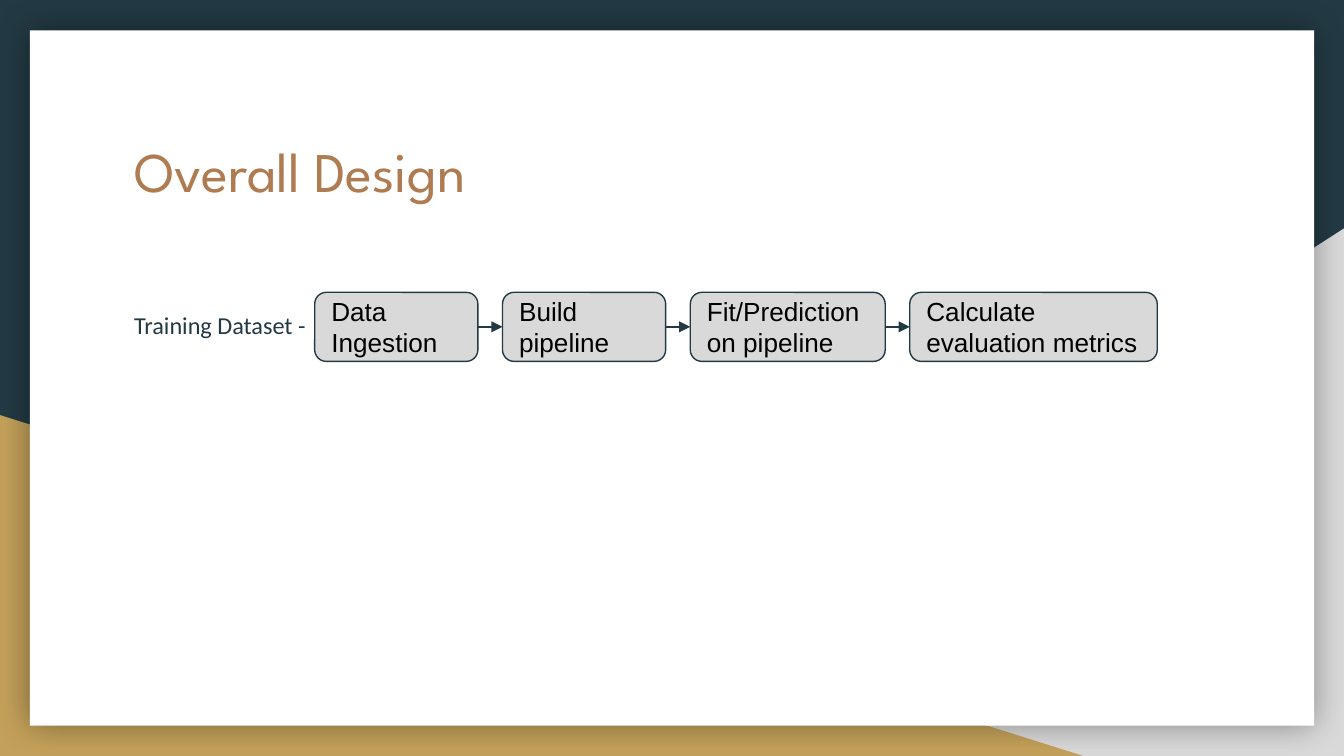
from lxml.etree import SubElement
from pptx import Presentation
from pptx.dml.color import RGBColor
from pptx.enum.shapes import MSO_CONNECTOR, MSO_SHAPE
from pptx.enum.text import MSO_ANCHOR, PP_ALIGN
from pptx.oxml.ns import qn
from pptx.util import Pt

COLORS = {
    "navy": "233A44",
    "gray": "D9D9D9",
    "gold": "C4A15A",
    "white": "FFFFFF",
    "copper": "AF7B51",
    "black": "000000",
}
SLIDE_WIDTH, SLIDE_HEIGHT = 720, 405
MARGIN = 64.8
FLOW_LEFT, FLOW_TOP = 168.6, 156.6
STEP_HEIGHT, STEP_GAP = 37, 13.2
STEPS = [
    ("Data Ingestion", 87.4),
    ("Build pipeline", 87.4),
    ("Fit/Prediction on pipeline", 104.4),
    ("Calculate evaluation metrics", 132.6),
]


def color(name):
    return RGBColor.from_string(COLORS[name])


def write_text(shape, text, *, font, size, fill, anchor=MSO_ANCHOR.TOP,
               line_spacing=None, space_after=None):
    frame = shape.text_frame
    frame.word_wrap = True
    frame.vertical_anchor = anchor
    frame.margin_left = frame.margin_right = Pt(7.2)
    frame.margin_top = frame.margin_bottom = Pt(7.2)
    para = frame.paragraphs[0]
    para.alignment = PP_ALIGN.LEFT
    if line_spacing is not None:
        para.line_spacing = line_spacing
    if space_after is not None:
        para.space_after = Pt(space_after)
    span = para.add_run()
    span.text = text
    span.font.name = font
    span.font.size = Pt(size)
    span.font.color.rgb = color(fill)


def add_box(page, kind, left, top, width, height, fill, line=None):
    box = page.shapes.add_shape(kind, Pt(left), Pt(top), Pt(width), Pt(height))
    box.shadow.inherit = False
    box.fill.solid()
    box.fill.fore_color.rgb = color(fill)
    if line:
        box.line.color.rgb = color(line)
        box.line.width = Pt(0.75)
    else:
        box.line.fill.background()
    return box


def add_label(page, text, left, top, width, height, **style):
    box = page.shapes.add_textbox(Pt(left), Pt(top), Pt(width), Pt(height))
    write_text(box, text, **style)


def add_glow_shadow(box, blur, opacity):
    effects = box._element.spPr.find(qn("a:effectLst"))
    shadow = SubElement(effects, qn("a:outerShdw"), blurRad=str(Pt(blur)),
                        dist="0", dir="0", algn="ctr", rotWithShape="0")
    tint = SubElement(shadow, qn("a:srgbClr"), val=COLORS["black"])
    SubElement(tint, qn("a:alpha"), val=str(opacity * 1000))


def add_arrow(page, start, end):
    arrow = page.shapes.add_connector(MSO_CONNECTOR.STRAIGHT, 0, 0, 0, 0)
    arrow.begin_connect(start, 3)
    arrow.end_connect(end, 1)
    arrow.line.color.rgb = color("navy")
    arrow.line.width = Pt(0.75)
    SubElement(arrow.line._get_or_add_ln(), qn("a:tailEnd"), type="triangle")
    SubElement(arrow._element.spPr, qn("a:effectLst"))


def add_backdrop(page):
    page.background.fill.solid()
    page.background.fill.fore_color.rgb = color("navy")
    right = add_box(page, MSO_SHAPE.RIGHT_TRIANGLE, 282.2, 122.4,
                    SLIDE_WIDTH - 282.2, SLIDE_HEIGHT - 122.4, "gray")
    right._element.spPr.xfrm.set("flipH", "1")
    add_box(page, MSO_SHAPE.RIGHT_TRIANGLE, 0, 222.4,
            580.4, SLIDE_HEIGHT - 222.4, "gold")
    panel = add_box(page, MSO_SHAPE.RECTANGLE, 16, 16.2,
                    SLIDE_WIDTH - 2 * 16, SLIDE_HEIGHT - 2 * 16.2, "white")
    add_glow_shadow(panel, blur=18, opacity=40)


def add_flow(page):
    left, previous = FLOW_LEFT, None
    for text, width in STEPS:
        step = add_box(page, MSO_SHAPE.ROUNDED_RECTANGLE, left, FLOW_TOP,
                       width, STEP_HEIGHT, "gray", line="navy")
        write_text(step, text, font="Arial", size=14, fill="black",
                   anchor=MSO_ANCHOR.MIDDLE)
        if previous is not None:
            add_arrow(page, previous, step)
        previous = step
        left += width + STEP_GAP


def main():
    deck = Presentation()
    deck.slide_width, deck.slide_height = Pt(SLIDE_WIDTH), Pt(SLIDE_HEIGHT)
    page = deck.slides.add_slide(deck.slide_layouts[6])

    # Background and white panel
    add_backdrop(page)

    # Title and row label
    content_width = SLIDE_WIDTH - 2 * MARGIN
    add_label(page, "Overall Design", MARGIN, 66.2, content_width, 75,
              font="League Spartan", size=30, fill="copper")
    add_label(page, "Training Dataset -", MARGIN, FLOW_TOP, content_width, 193,
              font="Calibri", size=13, fill="navy",
              line_spacing=1.15, space_after=16)

    # Pipeline steps
    add_flow(page)

    deck.save("out.pptx")


if __name__ == "__main__":
    main()
